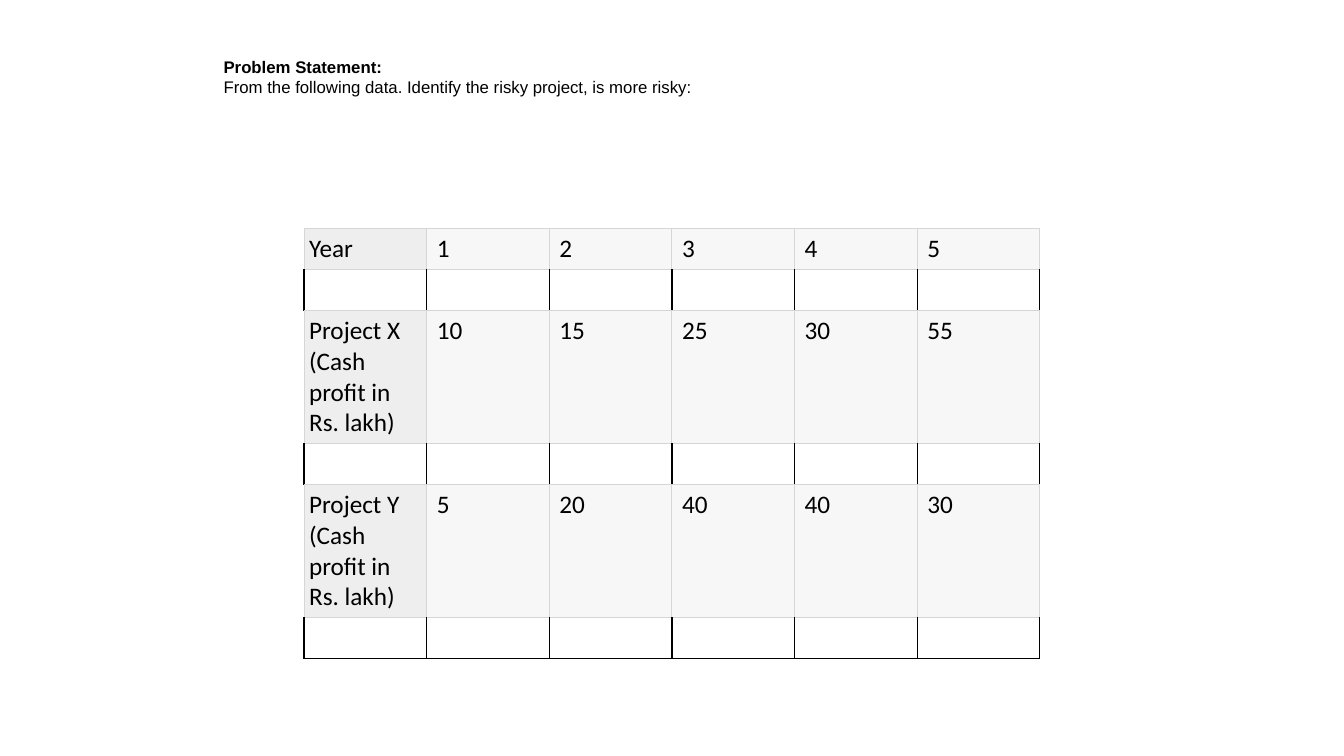
import pptx
import pptx.dml.color
import pptx.enum.text
import pptx.oxml.ns
import pptx.util
from lxml import etree

Pt = pptx.util.Pt
BLACK = pptx.dml.color.RGBColor(0x00, 0x00, 0x00)
GRID_GREY = pptx.dml.color.RGBColor(0xD6, 0xD6, 0xD6)
LABEL_GREY = pptx.dml.color.RGBColor(0xEE, 0xEE, 0xEE)
VALUE_GREY = pptx.dml.color.RGBColor(0xF7, 0xF7, 0xF7)

ROWS = [
    ["Year", "1", "2", "3", "4", "5"],
    [""] * 6,
    ["Project X (Cash profit in Rs. lakh)", "10", "15", "25", "30", "55"],
    [""] * 6,
    ["Project Y (Cash profit in Rs. lakh)", "5", "20", "40", "40", "30"],
    [""] * 6,
]
ROW_HEIGHTS = [29, 29, 94.4, 29, 94.4, 29]
COLUMN_WIDTH = 87.6


def style_font(font, values):
    for name, value in values.items():
        setattr(font, name, value)
    font.color.rgb = BLACK


def add_border(cell, side, color, width):
    properties = cell._tc.get_or_add_tcPr()
    line = etree.SubElement(properties, pptx.oxml.ns.qn(f"a:{side}"), w=str(Pt(width)))
    fill = etree.SubElement(line, pptx.oxml.ns.qn("a:solidFill"))
    etree.SubElement(fill, pptx.oxml.ns.qn("a:srgbClr"), val=str(color))


deck = pptx.Presentation()
deck.slide_width = Pt(960)
deck.slide_height = Pt(540)
page = deck.slides.add_slide(deck.slide_layouts[6])

frame = page.shapes.add_table(
    len(ROWS), len(ROWS[0]), Pt(217.2), Pt(163.4),
    Pt(COLUMN_WIDTH * len(ROWS[0])), Pt(sum(ROW_HEIGHTS)))
table = frame.table
table.first_row = False
table.horz_banding = False
for column in table.columns:
    column.width = Pt(COLUMN_WIDTH)

for row_index, (texts, height) in enumerate(zip(ROWS, ROW_HEIGHTS)):
    table.rows[row_index].height = Pt(height)
    is_gap = not any(texts)
    is_last = row_index == len(ROWS) - 1
    side_border = (BLACK, 1) if is_gap else (GRID_GREY, 0.75)
    bottom_border = (BLACK, 1) if is_last else (GRID_GREY, 0.75)
    for column_index, text in enumerate(texts):
        cell = table.cell(row_index, column_index)
        is_label = column_index == 0 and not is_gap
        add_border(cell, "lnL", *side_border)
        add_border(cell, "lnR", *side_border)
        add_border(cell, "lnT", GRID_GREY, 0.75)
        add_border(cell, "lnB", *bottom_border)
        if is_gap:
            cell.fill.background()
        else:
            cell.fill.solid()
            cell.fill.fore_color.rgb = LABEL_GREY if is_label else VALUE_GREY
        side_margin = Pt(3.6 if is_label else 7.2)
        margins = {"margin_left": side_margin, "margin_right": side_margin,
                   "margin_top": Pt(3.6), "margin_bottom": Pt(3.6)}
        for name, value in margins.items():
            setattr(cell, name, value)
        if text:
            span = cell.text_frame.paragraphs[0].add_run()
            span.text = text
            style_font(span.font, {"name": "Calibri", "size": Pt(18), "bold": False})

box = page.shapes.add_textbox(Pt(152.6), Pt(36.7), Pt(1023.8), Pt(79.9))
statement = box.text_frame
frame_format = {"word_wrap": True, "margin_top": Pt(4),
                "vertical_anchor": pptx.enum.text.MSO_ANCHOR.TOP}
for name, value in frame_format.items():
    setattr(statement, name, value)
lines = [
    ("Problem Statement:", True),
    ("From the following data. Identify the risky project, is more risky:", False),
]
for index, (text, bold) in enumerate(lines):
    para = statement.add_paragraph() if index else statement.paragraphs[0]
    span = para.add_run()
    span.text = text
    style_font(span.font, {"name": "Arial", "size": Pt(12), "bold": bold})

deck.save("out.pptx")
